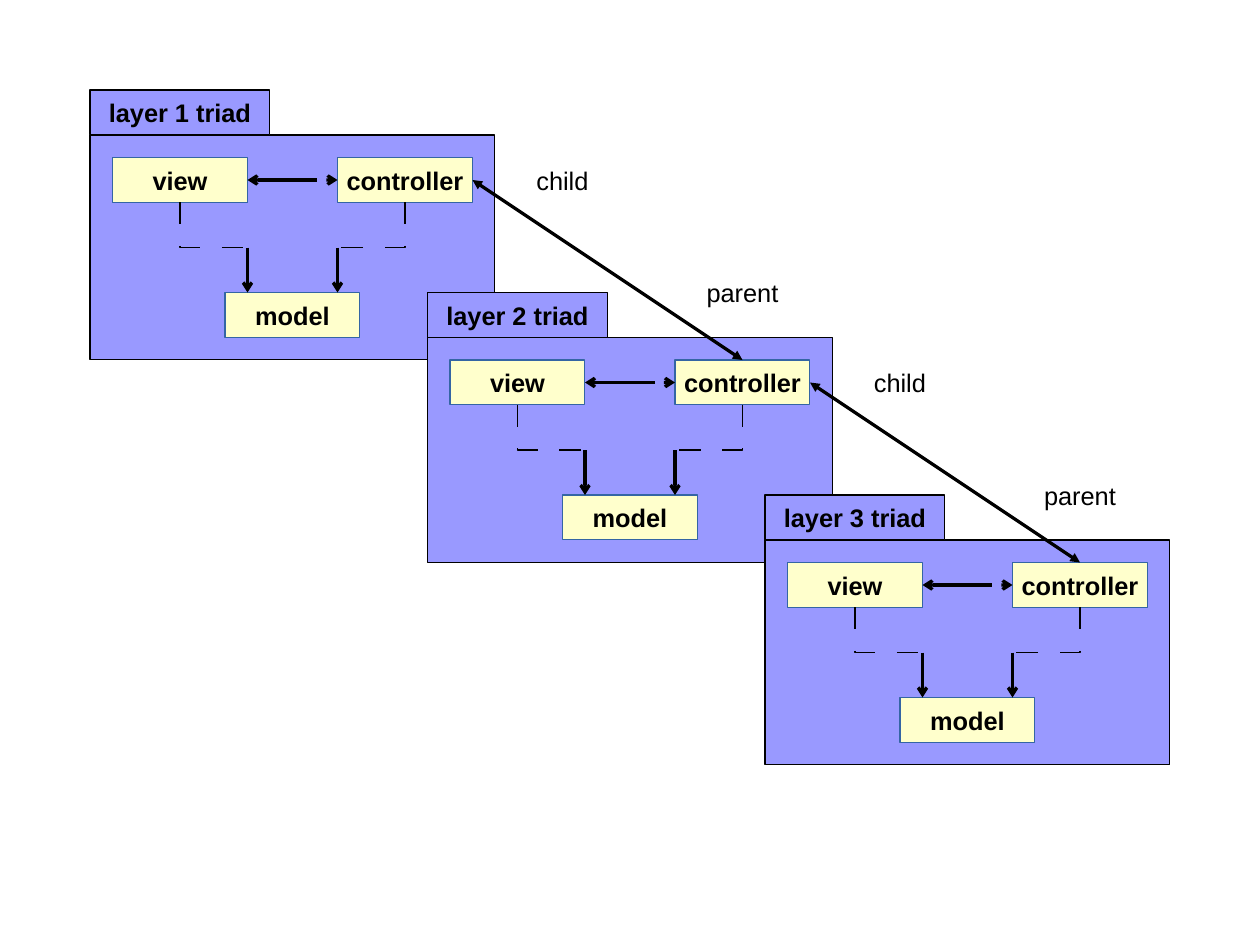
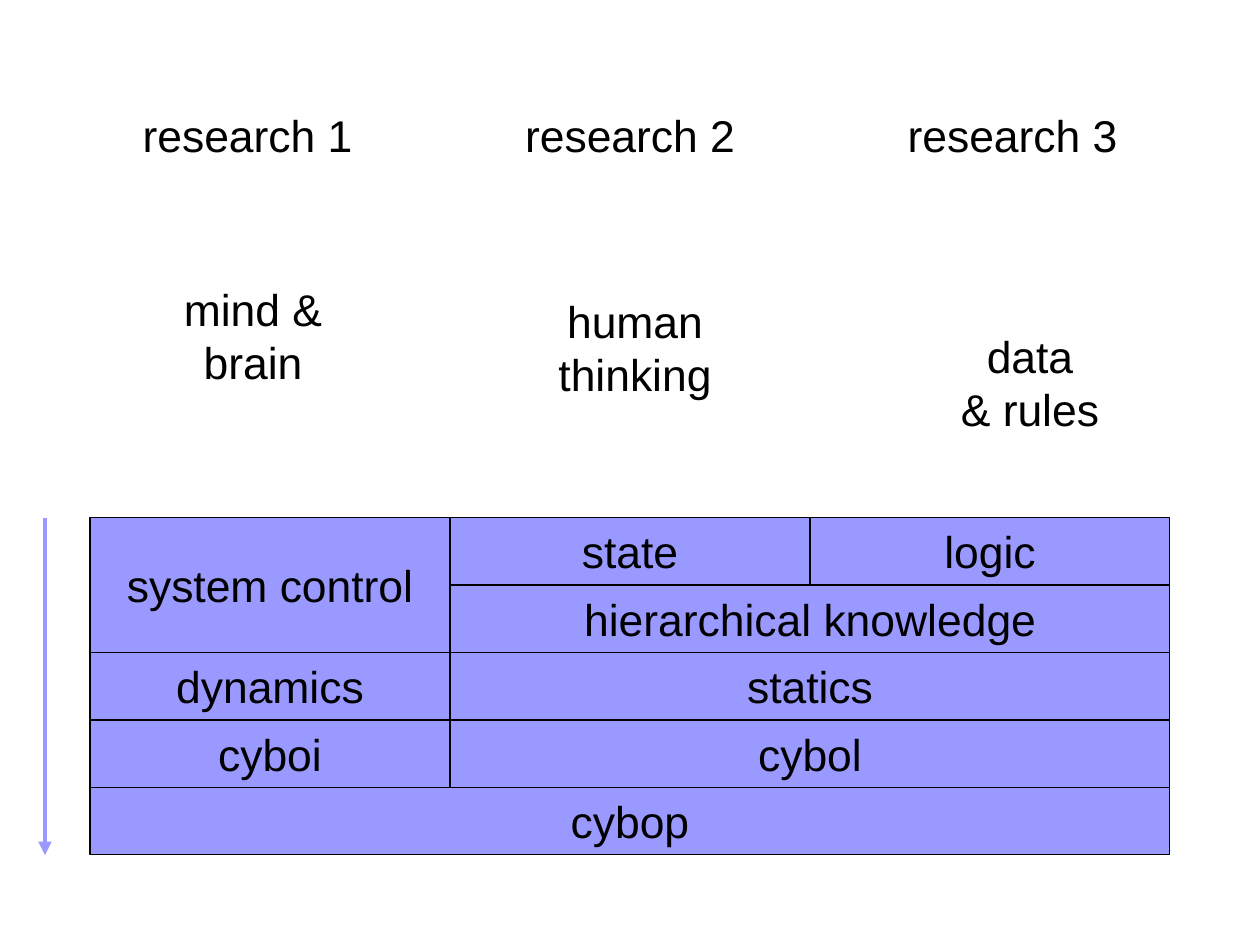
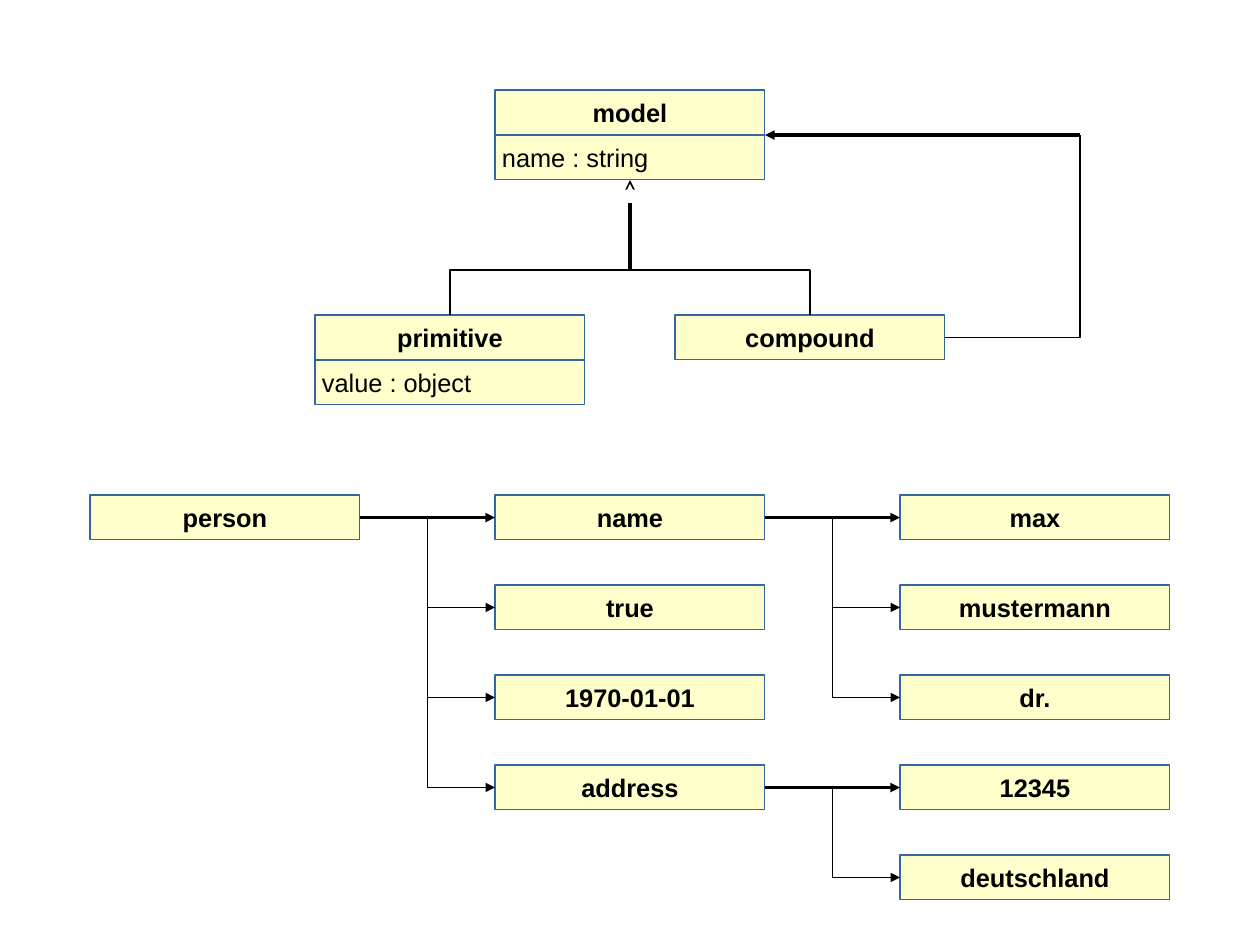
import lxml.etree
import pptx
import pptx.dml.color
import pptx.enum.shapes
import pptx.enum.text
import pptx.oxml.ns
import pptx.util

PX = 4000
UNIT = 90
FONT = "Arial"
BLACK = pptx.dml.color.RGBColor(0x00, 0x00, 0x00)
WHITE = pptx.dml.color.RGBColor(0xFF, 0xFF, 0xFF)
VIOLET = pptx.dml.color.RGBColor(0x99, 0x99, 0xFF)
CREAM = pptx.dml.color.RGBColor(0xFF, 0xFF, 0xCC)
BLUE = pptx.dml.color.RGBColor(0x34, 0x65, 0xA4)
TOP, LEFT, BOTTOM, RIGHT = range(4)
ALIGN = pptx.enum.text.PP_ALIGN
KIND = pptx.enum.shapes.MSO_SHAPE.RECTANGLE
LINE = pptx.enum.shapes.MSO_CONNECTOR.STRAIGHT
DASH = "1855000"


def emu(*sizes):
    return [pptx.util.Emu(size * PX) for size in sizes]


def add_tag(node, name, **attrs):
    return lxml.etree.SubElement(node, pptx.oxml.ns.qn(name), **attrs)


def write(shape, text, size, bold=False, align=ALIGN.CENTER, inset=0):
    frame = shape.text_frame
    frame.text = text
    frame.word_wrap = True
    frame.vertical_anchor = pptx.enum.text.MSO_ANCHOR.MIDDLE
    frame.margin_left, frame.margin_top, frame.margin_right, frame.margin_bottom = emu(inset, 0, 0, 0)
    for para in frame.paragraphs:
        para.alignment = align
        for run in para.runs:
            run.font.name = FONT
            run.font.size = pptx.util.Pt(size)
            run.font.bold = bold
            run.font.color.rgb = BLACK


def add_box(page, box, fill, edge):
    shape = page.shapes.add_shape(KIND, *emu(*box))
    shape.shadow.inherit = False
    shape.fill.solid()
    shape.fill.fore_color.rgb = fill
    shape.line.color.rgb = edge
    shape.line.width = 0
    return shape


def add_node(page, x, y, text, width=540):
    shape = add_box(page, (x, y, width, UNIT), CREAM, BLUE)
    write(shape, text, 16, True)
    return shape


def add_label(page, box, text, size):
    write(page.shapes.add_textbox(*emu(*box)), text, size)


def style_line(shape, color=BLACK, width=0, head=None, tail=None, dashed=False):
    shape.line.color.rgb = color
    shape.line.width = pptx.util.Pt(width)
    stroke = shape.line._get_or_add_ln()
    if dashed:
        add_tag(add_tag(stroke, "a:custDash"), "a:ds", d=DASH, sp=DASH)
    if head:
        add_tag(stroke, "a:headEnd", type=head)
    if tail:
        add_tag(stroke, "a:tailEnd", type=tail)


def add_line(page, start, end, **style):
    line = page.shapes.add_connector(LINE, *emu(*start, *end))
    style_line(line, **style)
    add_tag(line._element.spPr, "a:effectLst")
    return line


def join(page, first, side, last, port, **style):
    line = add_line(page, (0, 0), (UNIT, UNIT), **style)
    line.begin_connect(first, side)
    line.end_connect(last, port)


def add_bend(page, *points, **style):
    start, *others = [emu(*point) for point in points]
    build = page.shapes.build_freeform(*start)
    build.add_line_segments(others, close=False)
    shape = build.convert_to_shape()
    shape.shadow.inherit = False
    shape.fill.background()
    style_line(shape, **style)


def add_triad(page, x, y, title):
    add_box(page, (x, y + UNIT, 810, 450), VIOLET, BLACK)
    write(add_box(page, (x, y, 360, UNIT), VIOLET, BLACK), title, 16, True)
    view = add_node(page, x + 45, y + 135, "view", 270)
    control = add_node(page, x + 495, y + 135, "controller", 270)
    add_node(page, x + 270, y + 405, "model", 270)
    join(page, view, RIGHT, control, LEFT, head="arrow", tail="arrow", dashed=True)
    for outer, inner in ((180, 315), (630, 495)):
        add_bend(page, (x + outer, y + 225), (x + outer, y + 315), (x + inner, y + 315), dashed=True)
        add_line(page, (x + inner, y + 315), (x + inner, y + 405), tail="arrow", dashed=True)
    return control


def draw_layers(page):
    spots = [(180 + 675 * i, 180 + 405 * i) for i in range(3)]
    controls = [add_triad(page, x, y, f"layer {i} triad") for i, (x, y) in enumerate(spots, 1)]
    for (x, y), parent, child in zip(spots, controls, controls[1:]):
        join(page, parent, RIGHT, child, TOP, head="triangle", tail="triangle")
        add_label(page, (x + 855, y + 135, 180, UNIT), "child", 16)
        add_label(page, (x + 1215, y + 360, 180, UNIT), "parent", 16)


def draw_stack(page, x, y):
    cells = [
        (0, 0, 1, 2, "system control"),
        (1, 0, 1, 1, "state"),
        (2, 0, 1, 1, "logic"),
        (1, 1, 2, 1, "hierarchical knowledge"),
        (0, 2, 1, 1, "dynamics"),
        (1, 2, 2, 1, "statics"),
        (0, 3, 1, 1, "cyboi"),
        (1, 3, 2, 1, "cybol"),
        (0, 4, 3, 1, "cybop"),
    ]
    wide, high = 720, 135
    for col, row, across, down, text in cells:
        box = (x + col * wide, y + row * high, across * wide, down * high)
        write(add_box(page, box, VIOLET, BLACK), text, 28)
    add_line(page, (x - UNIT, y), (x - UNIT, y + 5 * high), color=VIOLET, width=2.83, tail="triangle")


def draw_research(page):
    topics = [
        ((281, 535, 450, 270), "mind &\nbrain"),
        ((1045, 560, 450, 270), "human\nthinking"),
        ((1880, 629, 360, 270), "data\n& rules"),
    ]
    for i, (box, text) in enumerate(topics):
        add_label(page, (180 + 765 * i, 180, 630, 180), f"research {i + 1}", 28)
        add_label(page, box, text, 28)
    draw_stack(page, 180, 1035)


def add_class(page, x, y, name, field):
    add_node(page, x, y, name)
    shape = add_box(page, (x, y + UNIT, 540, UNIT), CREAM, BLUE)
    write(shape, field, 16, align=ALIGN.LEFT, inset=14)
    return shape


def draw_classes(page, x, y):
    base = add_class(page, x + 360, y, "model", "name : string")
    add_class(page, x, y + 450, "primitive", "value : object")
    add_node(page, x + 720, y + 450, "compound")
    mid = x + 630
    up = add_line(page, (mid, y + 360), (mid, y + 180), tail="triangle")
    up.end_connect(base, BOTTOM)
    add_line(page, (mid, y + 225), (mid, y + 188), color=WHITE, tail="triangle")
    for side in (x + 270, x + 990):
        add_bend(page, (side, y + 450), (side, y + 360), (mid, y + 360))
    far = x + 1530
    add_bend(page, (x + 1260, y + 495), (far, y + 495), (far, y + UNIT))
    add_line(page, (far, y + UNIT), (x + 900, y + UNIT), tail="triangle")


def add_branch(page, parent, x, y, names):
    nodes = [add_node(page, x, y + 180 * i, name) for i, name in enumerate(names)]
    join(page, parent, RIGHT, nodes[0], LEFT, tail="triangle")
    for i in range(1, len(nodes)):
        level = y + 45 + 180 * i
        add_bend(page, (x - 135, y + 45), (x - 135, level), (x, level), tail="triangle")
    return nodes


def draw_tree(page, x, y):
    person = add_node(page, x, y, "person")
    parts = add_branch(page, person, x + 810, y, ["name", "true", "1970-01-01", "address"])
    add_branch(page, parts[0], x + 1620, y, ["max", "mustermann", "dr."])
    add_branch(page, parts[3], x + 1620, y + 540, ["12345", "deutschland"])


def draw_model(page):
    draw_classes(page, 630, 180)
    draw_tree(page, 180, 990)


def main():
    deck = pptx.Presentation()
    deck.slide_width, deck.slide_height = emu(2520, 1890)
    for draw in (draw_layers, draw_research, draw_model):
        draw(deck.slides.add_slide(deck.slide_layouts[6]))
    deck.save("out.pptx")


if __name__ == "__main__":
    main()
